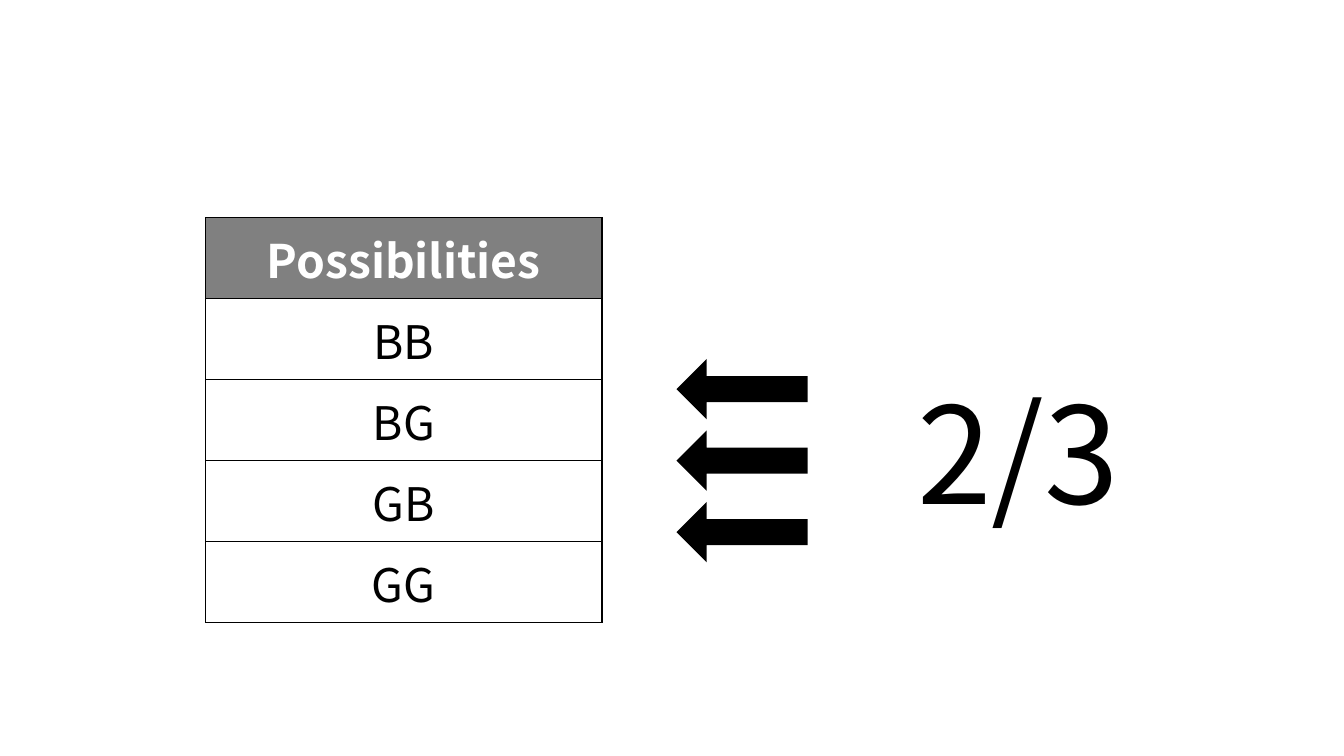
from lxml import etree
from pptx import Presentation
from pptx.dml.color import RGBColor
from pptx.enum.shapes import MSO_SHAPE
from pptx.enum.text import MSO_ANCHOR, PP_ALIGN
from pptx.oxml.ns import qn
from pptx.util import Pt

PX = 9144  # 100 px to the inch
FONT = "Noto Sans CJK JP"
COLORS = {"ink": "000000", "header": "808080", "paper": "FFFFFF"}
LEFT_ARROW = MSO_SHAPE.LEFT_ARROW
CENTER = PP_ALIGN.CENTER
MIDDLE = MSO_ANCHOR.MIDDLE
POSSIBILITIES = ["Possibilities", "BB", "BG", "GB", "GG"]


def px(*lengths):
    return [length * PX for length in lengths]


def color(name):
    return RGBColor.from_string(COLORS[name])


def format_text(paragraph, size, color_name, bold=False):
    for run in paragraph.runs:
        run.font.name = FONT
        run.font.size = Pt(size)
        run.font.bold = bold
        run.font.color.rgb = color(color_name)


def add_borders(cell):
    properties = cell._tc.get_or_add_tcPr()
    for side in ("a:lnL", "a:lnR", "a:lnT", "a:lnB"):
        line = etree.SubElement(properties, qn(side), w=str(Pt(1)))
        fill = etree.SubElement(line, qn("a:solidFill"))
        etree.SubElement(fill, qn("a:srgbClr"), val=COLORS["ink"])


def add_possibilities(slide, left, top, width, row_height):
    count = len(POSSIBILITIES)
    box = px(left, top, width, row_height * count)
    table = slide.shapes.add_table(count, 1, *box).table
    table.horz_banding = False
    for index, label in enumerate(POSSIBILITIES):
        is_header = index == 0
        cell = table.cell(index, 0)
        cell.margin_left = cell.margin_right = 14 * PX
        cell.margin_top = cell.margin_bottom = 7 * PX
        add_borders(cell)
        if is_header:
            cell.fill.solid()
            cell.fill.fore_color.rgb = color("header")
        else:
            cell.fill.background()
        cell.text_frame.text = label
        paragraph = cell.text_frame.paragraphs[0]
        paragraph.alignment = CENTER
        format_text(paragraph, 33, "paper" if is_header else "ink", is_header)


def add_arrows(slide, left, top, width, height, pitch, count):
    for index in range(count):
        box = px(left, top + index * pitch, width, height)
        arrow = slide.shapes.add_shape(LEFT_ARROW, *box)
        arrow.adjustments[0] = 0.43
        arrow.adjustments[1] = 0.5
        arrow.shadow.inherit = False
        arrow.fill.solid()
        arrow.fill.fore_color.rgb = color("ink")
        arrow.line.fill.background()


def add_answer(slide, left, top, width, height):
    text_frame = slide.shapes.add_textbox(*px(left, top, width, height)).text_frame
    text_frame.word_wrap = True
    text_frame.vertical_anchor = MIDDLE
    text_frame.text = "2/3"
    paragraph = text_frame.paragraphs[0]
    paragraph.line_spacing = 0.9
    format_text(paragraph, 96, "ink")


def main():
    presentation = Presentation()
    presentation.slide_width, presentation.slide_height = px(1333, 750)
    slide = presentation.slides.add_slide(presentation.slide_layouts[6])
    add_possibilities(slide, 204, 216, 393, 68)
    add_arrows(slide, 671, 356, 130, 60, pitch=71, count=3)
    add_answer(slide, 900, 327, 254, 261)
    presentation.save("out.pptx")


if __name__ == "__main__":
    main()
